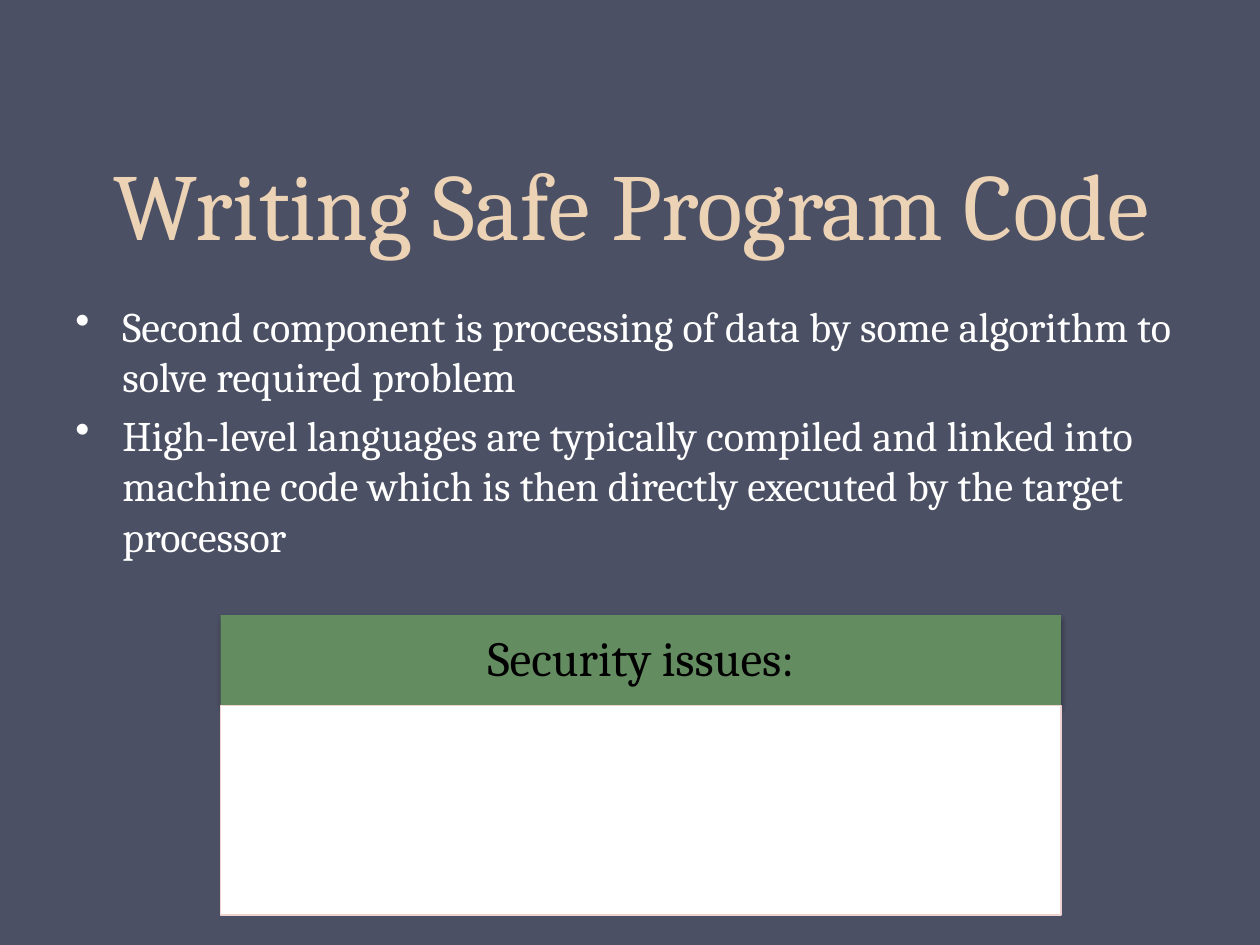
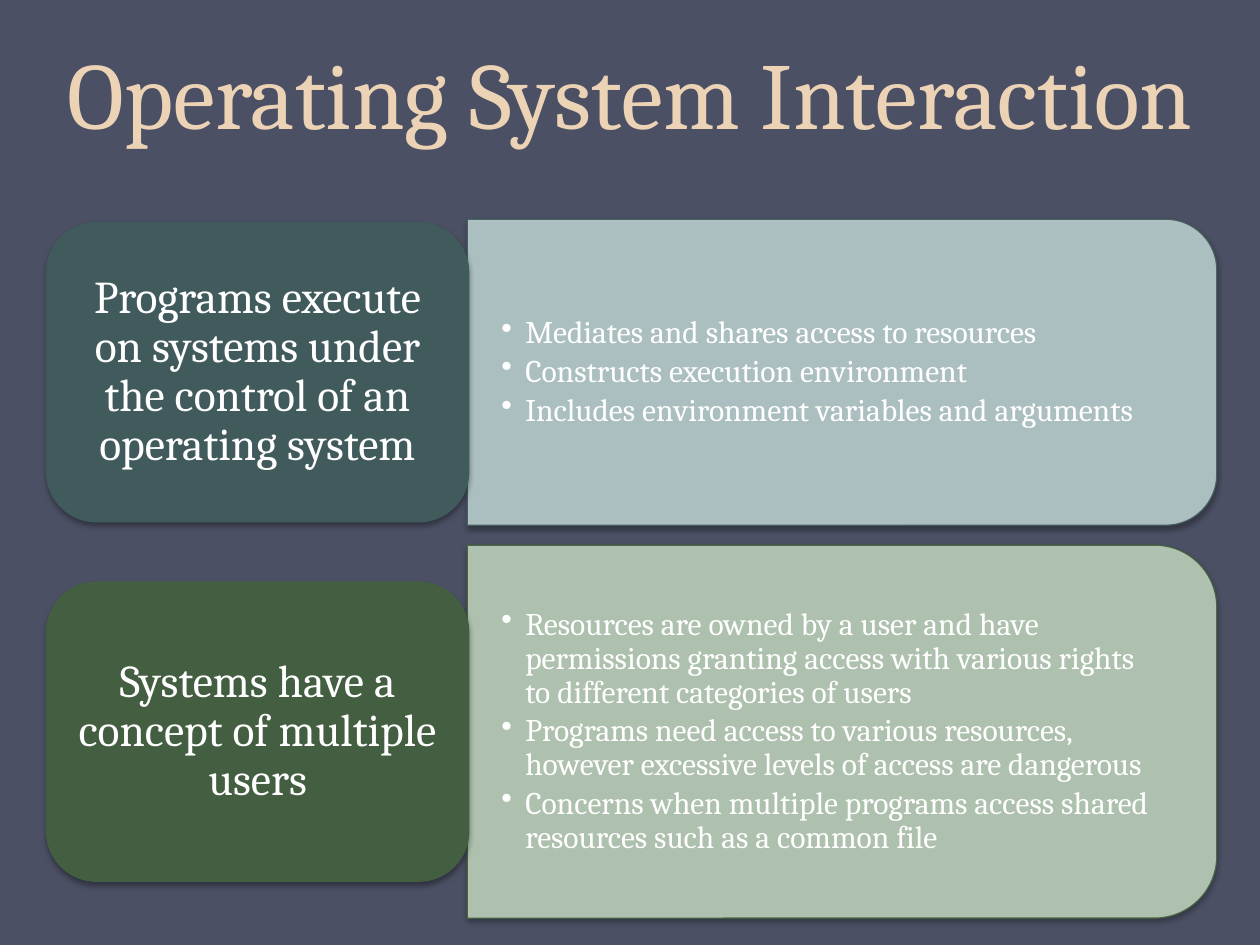
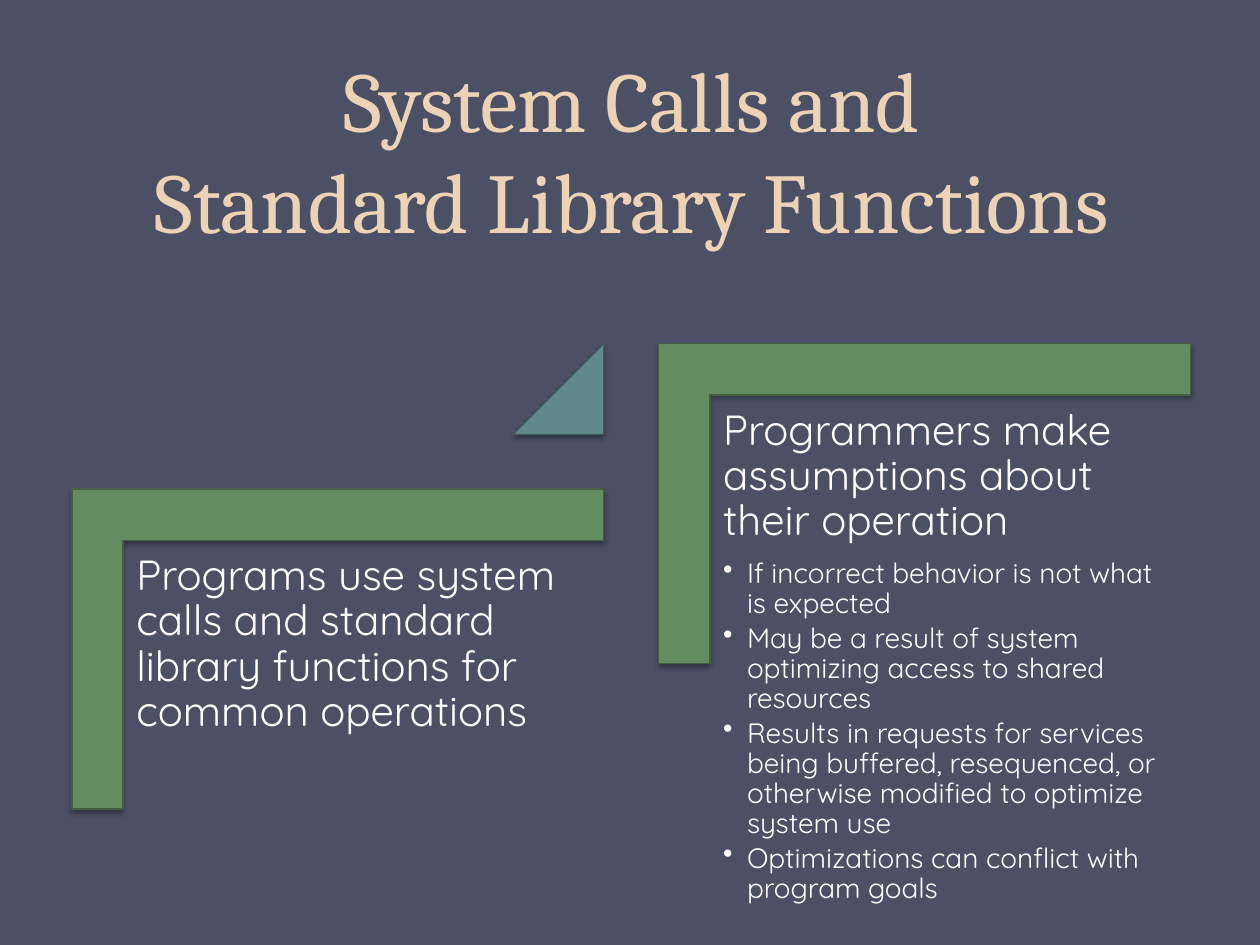
"""Build three slides on safe program code and system calls."""
import pptx
import pptx.dml.color
import pptx.enum.shapes
import pptx.enum.text
import pptx.oxml
import pptx.oxml.ns
import pptx.util

Cm = pptx.util.Cm
Pt = pptx.util.Pt
KIND = pptx.enum.shapes.MSO_SHAPE
ALIGN = pptx.enum.text.PP_ALIGN
ANCHOR = pptx.enum.text.MSO_ANCHOR

HUES = {
    "back": "4B5064", "sand": "EDD3B6", "white": "FFFFFF", "black": "000000",
    "green": "648C61", "moss": "435E40", "sage": "BCD0BA",
    "teal": "61898A", "pine": "415B5C", "mist": "BACECE", "rose": "EED3D0",
}


def tint(name):
    return pptx.dml.color.RGBColor.from_string(HUES[name])


def write(frame, text, size=24, font="Cambria", hue="white", align=ALIGN.LEFT,
          lead=None, before=0, after=0, hang=None):
    last = frame.paragraphs[-1]
    par = frame.add_paragraph() if last.runs else last
    par.text = text
    par.alignment = align
    par.line_spacing = lead
    par.space_before = Pt(size * before)
    par.space_after = Pt(size * after)
    for run in par.runs:
        run.font.size = Pt(size)
        run.font.name = font
        run.font.color.rgb = tint(hue)
    if hang:
        props = par._p.get_or_add_pPr()
        props.set("marL", str(Cm(hang)))
        props.set("indent", str(-Cm(hang)))
        mark = pptx.oxml.parse_xml(
            f'<a:buChar {pptx.oxml.ns.nsdecls("a")} char="•"/>')
        props.append(mark)


class Deck:
    """Holds the shared style and the current slide."""

    def __init__(self):
        self.show = pptx.Presentation()
        self.show.slide_width = Cm(25.4)
        self.show.slide_height = Cm(19.05)
        self.slide = None

    def page(self, title, box, size=54):
        self.slide = self.show.slides.add_slide(self.show.slide_layouts[6])
        fill = self.slide.background.fill
        fill.solid()
        fill.fore_color.rgb = tint("back")
        frame = self.text(box, anchor=ANCHOR.BOTTOM)
        write(frame, title, size=size, hue="sand", align=ALIGN.CENTER, lead=Pt(58))

    def text(self, box, anchor=ANCHOR.TOP, pad=(0.25, 0.13)):
        frame = self.slide.shapes.add_textbox(*map(Cm, box)).text_frame
        frame.word_wrap = True
        frame.vertical_anchor = anchor
        frame.margin_left = frame.margin_right = Cm(pad[0])
        frame.margin_top = frame.margin_bottom = Cm(pad[1])
        return frame

    def points(self, frame, items, **form):
        for item in items:
            write(frame, item, lead=0.9, after=0.15, hang=0.48, **form)

    def shape(self, kind, box, fill, line=None, turn=False, adjust=(),
              alpha=None, shade=True):
        left, top, wide, high = box
        if turn:
            shift = (wide - high) / 2
            left, top, wide, high = left + shift, top - shift, high, wide
        form = self.slide.shapes.add_shape(kind, *map(Cm, (left, top, wide, high)))
        form.rotation = 90 if turn else 0
        for index, value in enumerate(adjust):
            form.adjustments[index] = value
        form.fill.solid()
        form.fill.fore_color.rgb = tint(fill)
        if line:
            form.line.color.rgb = tint(line)
            form.line.width = Pt(0.75)
        else:
            form.line.fill.background()
        form.shadow.inherit = False
        if alpha:
            self.fade(form, alpha)
        if shade:
            self.shade(form)

    def fade(self, form, alpha):
        for node in form.element.spPr.xpath(".//a:srgbClr"):
            node.append(pptx.oxml.parse_xml(
                f'<a:alpha {pptx.oxml.ns.nsdecls("a")} val="{alpha * 1000}"/>'))

    def shade(self, form):
        glow = pptx.oxml.parse_xml(
            f'<a:outerShdw {pptx.oxml.ns.nsdecls("a")} blurRad="{Pt(3.1)}" '
            f'dist="{Pt(1.8)}" dir="5400000" rotWithShape="0">'
            f'<a:srgbClr val="{HUES["black"]}"><a:alpha val="35000"/></a:srgbClr>'
            '</a:outerShdw>')
        form.element.spPr.xpath("./a:effectLst")[0].append(glow)


def code(deck):
    deck.page("Writing Safe Program Code", (1.3, 0.91, 22.86, 4.45))
    body = deck.text((1.27, 5.92, 22.86, 6.55))
    for item in (
        "Second component is processing of data by some algorithm to solve required problem",
        "High-level languages are typically compiled and linked into machine code "
        "which is then directly executed by the target processor",
    ):
        write(body, item, before=0.2, hang=0.95)
    left, top, wide, high = head = (4.45, 12.4, 16.94, 1.83)
    deck.shape(KIND.RECTANGLE, head, "green")
    frame = deck.text(head, anchor=ANCHOR.MIDDLE, pad=(0.56, 0.3))
    write(frame, "Security issues:", size=28, hue="black", align=ALIGN.CENTER,
          lead=0.9, after=0.35)
    deck.shape(KIND.RECTANGLE, (left, top + high, wide, 4.22), "white", "rose",
               shade=False)


def system(deck):
    deck.page("Operating System Interaction", (0, 0.08, 25.4, 3.05))
    rows = (
        (6.17, "pine", "mist",
         "Programs execute on systems under the control of an operating system",
         ("Mediates and shares access to resources",
          "Constructs execution environment",
          "Includes environment variables and arguments")),
        (7.52, "moss", "sage", "Systems have a concept of multiple users",
         ("Resources are owned by a user and have permissions granting access "
          "with various rights to different categories of users",
          "Programs need access to various resources, however excessive levels "
          "of access are dangerous",
          "Concerns when multiple programs access shared resources such as a common file")),
    )
    top, left, pill, inset = 4.42, 9.42, 6.03, 0.29
    for high, dark, light, name, items in rows:
        deck.shape(KIND.ROUND_2_SAME_RECTANGLE, (left, top, 15.11, high), light,
                   dark, turn=True, alpha=90)
        frame = deck.text((left, top + 0.33, 14.75, high - 0.66),
                          anchor=ANCHOR.MIDDLE, pad=(0.69, 0.36))
        deck.points(frame, items, size=18)
        mid = top + (high - pill) / 2
        deck.shape(KIND.ROUNDED_RECTANGLE, (0.94, mid, 8.51, pill), dark, dark)
        frame = deck.text(
            (0.94 + inset, mid + inset, 8.51 - 2 * inset, pill - 2 * inset),
            anchor=ANCHOR.MIDDLE, pad=(0.28, 0.13))
        write(frame, name, size=26, align=ALIGN.CENTER, lead=0.9, after=0.35)
        top += high + 0.4


def calls(deck):
    deck.page("System Calls and\vStandard Library Functions",
              (1.3, 0.74, 22.86, 4.45), size=48.6)
    steps = (
        (1.45, 9.86,
         "Programs use system calls and standard library functions for common operations",
         ()),
        (13.28, 6.93, "Programmers make assumptions about their operation",
         ("If incorrect behavior is not what is expected",
          "May be a result of system optimizing access to shared resources",
          "Results in requests for services being buffered, resequenced, or "
          "otherwise modified to optimize system use",
          "Optimizations can conflict with program goals")),
    )
    for left, top, name, items in steps:
        deck.shape(KIND.CORNER, (left, top, 10.72, 6.45), "green", "moss",
                   turn=True, adjust=(0.16, 0.16))
        frame = deck.text((left + 1.05, top + 1.06, 9.68, 8.48), pad=(0.25, 0.25))
        write(frame, name, font="Quicksand", lead=0.9, after=0.35)
        deck.points(frame, items, size=16, font="Quicksand")
    deck.shape(KIND.ISOSCELES_TRIANGLE, (10.34, 6.93, 1.83, 1.83), "teal", "pine",
               adjust=(1,))


def main():
    deck = Deck()
    for build in (code, system, calls):
        build(deck)
    deck.show.save("out.pptx")


if __name__ == "__main__":
    main()
